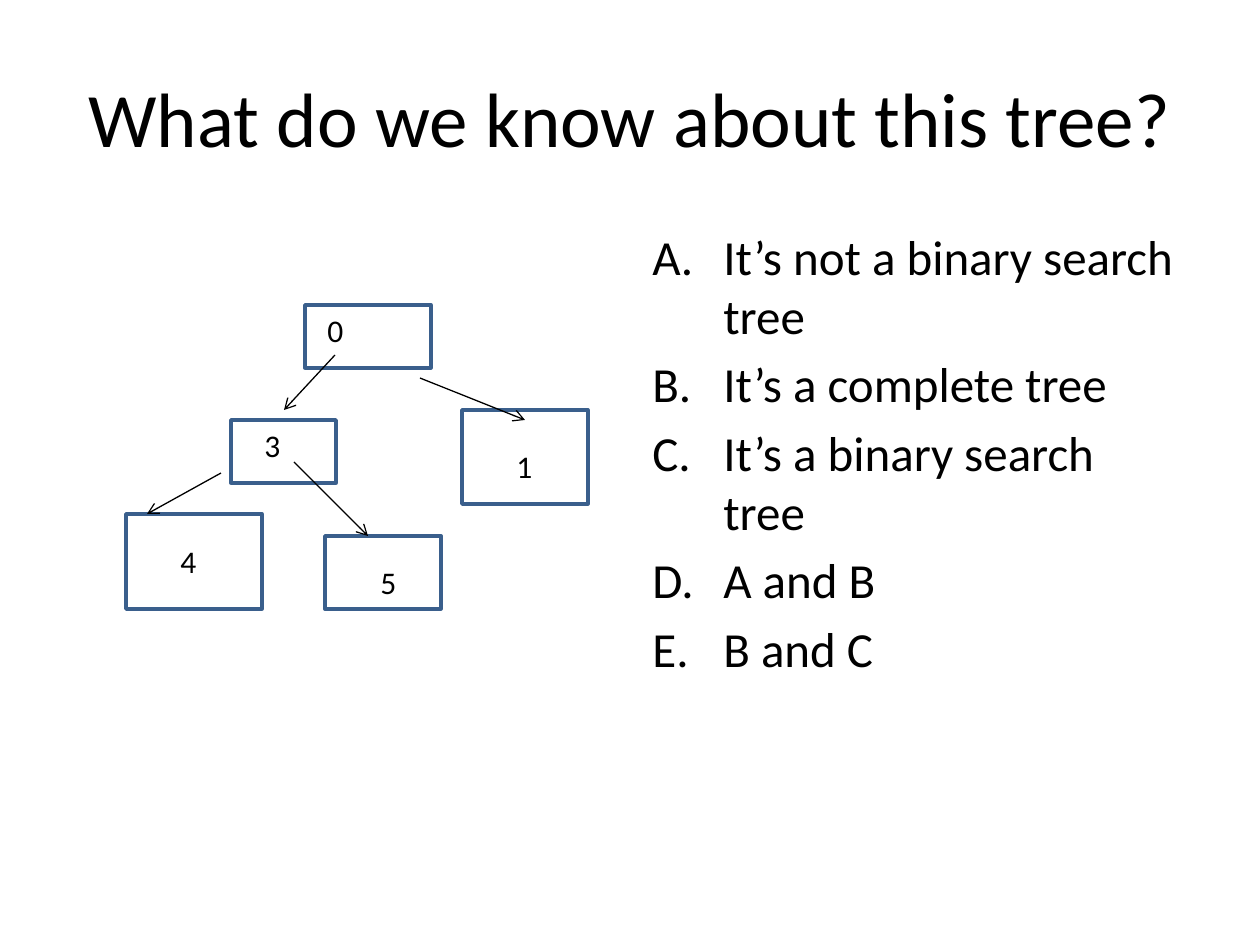
from dataclasses import dataclass

from lxml import etree
from pptx import Presentation
from pptx.dml.color import RGBColor
from pptx.enum.shapes import MSO_CONNECTOR, MSO_SHAPE
from pptx.enum.text import MSO_ANCHOR, MSO_AUTO_SIZE, PP_ALIGN
from pptx.oxml.ns import qn
from pptx.util import Emu, Pt

RECTANGLE = MSO_SHAPE.RECTANGLE
STRAIGHT = MSO_CONNECTOR.STRAIGHT
MIDDLE = MSO_ANCHOR.MIDDLE
TOP = MSO_ANCHOR.TOP
CENTER = PP_ALIGN.CENTER
GROW = MSO_AUTO_SIZE.SHAPE_TO_FIT_TEXT

PIXELS_PER_INCH = 126
LABEL_SIZE = (42, 50)
ANSWER_INDENT = 71


@dataclass(frozen=True)
class Theme:
    font: str = "Calibri"
    text: RGBColor = RGBColor(0, 0, 0)
    node_fill: RGBColor = RGBColor(255, 255, 255)
    node_line: RGBColor = RGBColor(0x3A, 0x5F, 0x8C)
    title_size: Pt = Pt(44)
    answer_size: Pt = Pt(28)
    label_size: Pt = Pt(18)
    answer_gap: Pt = Pt(5.6)
    node_width: Pt = Pt(2)
    arrow_width: Pt = Pt(0.75)


THEME = Theme()

TREE_NODES = [
    ("0", (305, 305, 126, 63), (315, 305)),
    ("1", (462, 410, 126, 94), (504, 441)),
    ("3", (231, 420, 105, 63), (252, 420)),
    ("4", (126, 514, 136, 95), (168, 536)),
    ("5", (325, 536, 116, 73), (368, 557)),
]
TREE_ARROWS = [
    ((335, 355), (284, 410)),
    ((294, 462), (368, 536)),
    ((221, 473), (147, 514)),
    ((420, 378), (525, 420)),
]
ANSWERS = [
    "It’s not a binary search tree",
    "It’s a complete tree",
    "It’s a binary search tree",
    "A and B",
    "B and C",
]


def px(length):
    return Emu(round(length * 914400 / PIXELS_PER_INCH))


def add_text(slide, box, lines, size, anchor=TOP, wrap=True):
    shape = slide.shapes.add_textbox(*map(px, box))
    frame = shape.text_frame
    frame.word_wrap = wrap
    frame.vertical_anchor = anchor
    frame.text = "\n".join(lines)
    for paragraph in frame.paragraphs:
        for run in paragraph.runs:
            run.font.name = THEME.font
            run.font.size = size
            run.font.color.rgb = THEME.text
    return frame


def add_title(slide, box, title):
    frame = add_text(slide, box, [title], THEME.title_size, MIDDLE)
    frame.paragraphs[0].alignment = CENTER


def add_answers(slide, box, answers):
    frame = add_text(slide, box, answers, THEME.answer_size)
    for paragraph in frame.paragraphs:
        paragraph.space_before = THEME.answer_gap
        properties = paragraph._p.get_or_add_pPr()
        properties.set("marL", str(px(ANSWER_INDENT)))
        properties.set("indent", str(-px(ANSWER_INDENT)))
        etree.SubElement(properties, qn("a:buFont"), typeface="+mj-lt")
        etree.SubElement(properties, qn("a:buAutoNum"), type="alphaUcPeriod")


def add_node(slide, value, box, label_position):
    shape = slide.shapes.add_shape(RECTANGLE, *map(px, box))
    shape.shadow.inherit = False
    shape.fill.solid()
    shape.fill.fore_color.rgb = THEME.node_fill
    shape.line.color.rgb = THEME.node_line
    shape.line.width = THEME.node_width
    label_box = label_position + LABEL_SIZE
    frame = add_text(slide, label_box, [value], THEME.label_size, wrap=False)
    frame.auto_size = GROW


def add_arrow(slide, start, end):
    connector = slide.shapes.add_connector(STRAIGHT, *map(px, start + end))
    connector.line.color.rgb = THEME.text
    connector.line.width = THEME.arrow_width
    line = connector.line._get_or_add_ln()
    etree.SubElement(line, qn("a:tailEnd"), type="arrow")
    etree.SubElement(connector._element.spPr, qn("a:effectLst"))


def main():
    presentation = Presentation()
    presentation.slide_width = px(1260)
    presentation.slide_height = px(945)
    slide = presentation.slides.add_slide(presentation.slide_layouts[6])
    add_title(slide, (63, 38, 1134, 157), "What do we know about this tree?")
    add_answers(slide, (640, 220, 557, 624), ANSWERS)
    for value, box, label_position in TREE_NODES:
        add_node(slide, value, box, label_position)
    for start, end in TREE_ARROWS:
        add_arrow(slide, start, end)
    presentation.save("out.pptx")


if __name__ == "__main__":
    main()
